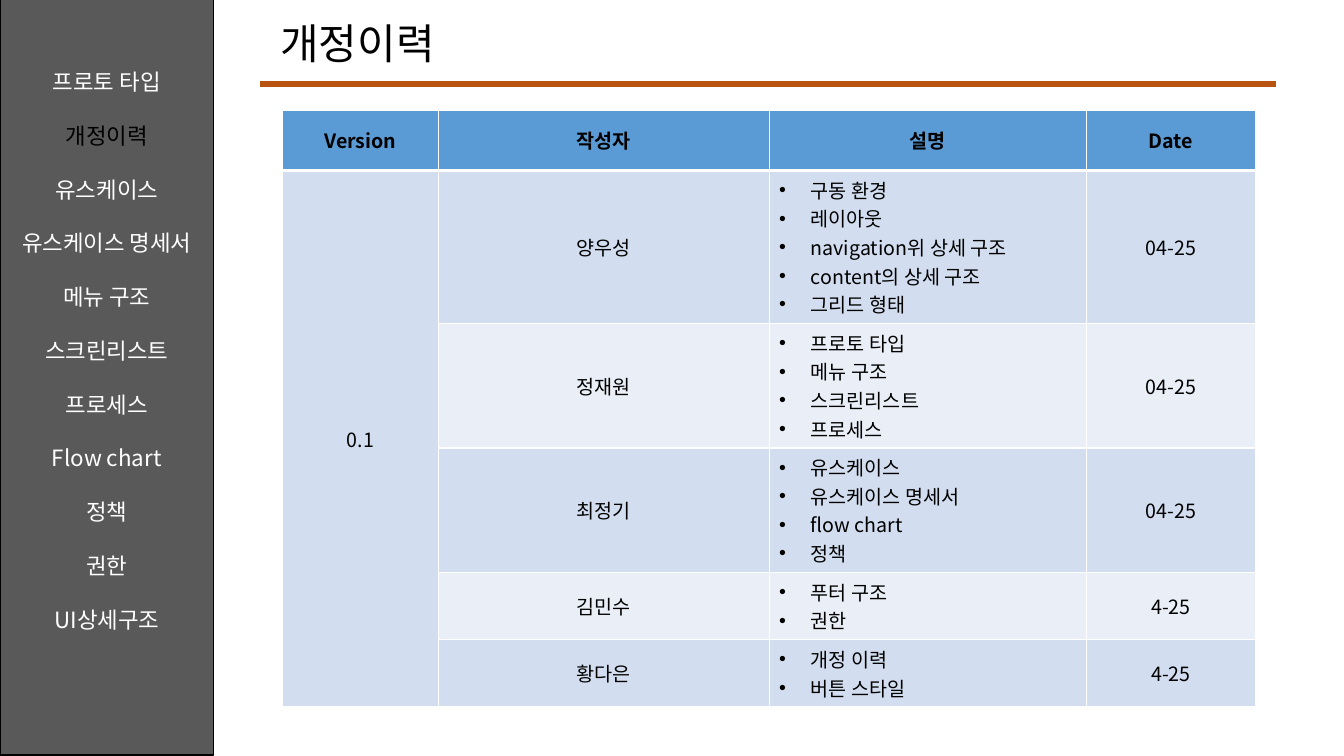
from lxml.etree import SubElement
from pptx import Presentation
from pptx.dml.color import RGBColor
from pptx.enum.shapes import MSO_CONNECTOR, MSO_SHAPE
from pptx.enum.text import MSO_ANCHOR, MSO_AUTO_SIZE, PP_ALIGN
from pptx.oxml.ns import qn
from pptx.util import Pt

FONT = "Noto Sans CJK KR"
MENU = ["프로토 타입", "개정이력", "유스케이스", "유스케이스 명세서", "메뉴 구조",
        "스크린리스트", "프로세스", "Flow chart", "정책", "권한", "UI상세구조"]
HEADERS = ["Version", "작성자", "설명", "Date"]
REVISIONS = [
    ("양우성", ["구동 환경", "레이아웃", "navigation위 상세 구조",
             "content의 상세 구조", "그리드 형태"], "04-25"),
    ("정재원", ["프로토 타입", "메뉴 구조", "스크린리스트", "프로세스"], "04-25"),
    ("최정기", ["유스케이스", "유스케이스 명세서", "flow chart", "정책"], "04-25"),
    ("김민수", ["푸터 구조", "권한"], "4-25"),
    ("황다은", ["개정 이력", "버튼 스타일"], "4-25"),
]
COL_WIDTHS = [111.3, 236.3, 226.8, 120.4]
HEADER_HEIGHT, LINE_HEIGHT, CELL_PADDING = 43.2, 20.3, 7.2


def color(value):
    """Turn a hex string into a colour."""
    return RGBColor.from_string(value)


def format_paragraph(p, size, value="000000", bold=False, align=PP_ALIGN.CENTER):
    """Apply font, colour and alignment to a paragraph."""
    p.alignment = align
    for r in p.runs:
        r.font.name, r.font.size, r.font.bold = FONT, Pt(size), bold
        r.font.color.rgb = color(value)
        SubElement(r.font._element, qn("a:ea"), typeface=FONT)


def add_bullet(p):
    """Give a paragraph a hanging bullet."""
    pPr = p._p.get_or_add_pPr()
    pPr.set("marL", str(Pt(22.5)))
    pPr.set("indent", str(-Pt(22.5)))
    SubElement(pPr, qn("a:buFont"), typeface="Arial")
    SubElement(pPr, qn("a:buChar"), char="•")


def add_borders(cell, bottom):
    """Draw white borders around a cell."""
    tcPr = cell._tc.get_or_add_tcPr()
    for side, width in zip("LRTB", (1, 1, 1, bottom)):
        ln = SubElement(tcPr, qn(f"a:ln{side}"), w=str(Pt(width)))
        fill = SubElement(ln, qn("a:solidFill"))
        SubElement(fill, qn("a:srgbClr"), val="FFFFFF")


def fill_cell(cell, content, fill, bold=False, bottom=1):
    """Write text or a bulleted list into a cell and style it."""
    add_borders(cell, bottom)
    cell.fill.solid()
    cell.fill.fore_color.rgb = color(fill)
    bulleted = isinstance(content, list)
    cell.text = "\n".join(content) if bulleted else content
    cell.vertical_anchor = MSO_ANCHOR.TOP if bulleted else MSO_ANCHOR.MIDDLE
    for p in cell.text_frame.paragraphs:
        format_paragraph(p, 14, bold=bold,
                         align=PP_ALIGN.LEFT if bulleted else PP_ALIGN.CENTER)
        if bulleted:
            add_bullet(p)


def add_revision_table(slide):
    """Add the revision history table."""
    heights = [HEADER_HEIGHT] + [len(items) * LINE_HEIGHT + CELL_PADDING
                                 for _, items, _ in REVISIONS]
    table = slide.shapes.add_table(
        len(heights), len(COL_WIDTHS), Pt(201.8), Pt(78.6),
        Pt(sum(COL_WIDTHS)), Pt(sum(heights))).table
    for column, width in zip(table.columns, COL_WIDTHS):
        column.width = Pt(width)
    for row, height in zip(table.rows, heights):
        row.height = Pt(height)
    for c, header in enumerate(HEADERS):
        fill_cell(table.cell(0, c), header, "5B9BD5", bold=True, bottom=3)
    for i, revision in enumerate(REVISIONS, 1):
        fill = "D2DEEF" if i % 2 else "EAEFF7"
        version = "0.1" if i == 1 else ""
        for c, content in enumerate((version, *revision)):
            fill_cell(table.cell(i, c), content, fill)
    table.cell(1, 0).merge(table.cell(len(REVISIONS), 0))


def add_rule(slide):
    """Add the line under the title."""
    line = slide.shapes.add_connector(
        MSO_CONNECTOR.STRAIGHT, Pt(185.8), Pt(59.8), Pt(911.5), Pt(59.8))
    line.line.color.rgb = color("B85410")
    line.line.width = Pt(4.5)
    SubElement(line._element.spPr, qn("a:effectLst"))


def set_title(slide, text):
    """Place and format the title."""
    sp = slide.shapes.title
    sp.left, sp.top, sp.width, sp.height = Pt(193), Pt(8.6), Pt(576), Pt(50.6)
    tf = sp.text_frame
    tf.text = text
    tf.word_wrap = True
    tf.auto_size = MSO_AUTO_SIZE.NONE
    tf.vertical_anchor = MSO_ANCHOR.TOP
    format_paragraph(tf.paragraphs[0], 30, align=PP_ALIGN.LEFT)


def add_menu(slide, current):
    """Add the side menu with the current page in black."""
    sp = slide.shapes.add_shape(
        MSO_SHAPE.RECTANGLE, 0, Pt(-0.7), Pt(152.6), Pt(540))
    sp.shadow.inherit = False
    sp.fill.solid()
    sp.fill.fore_color.rgb = color("595959")
    sp.line.color.rgb = color("000000")
    sp.line.width = Pt(1)
    tf = sp.text_frame
    tf.word_wrap = True
    tf.vertical_anchor = MSO_ANCHOR.TOP
    tf.margin_top = Pt(44.6)
    tf.text = "\n".join(MENU)
    for p in tf.paragraphs:
        p.line_spacing, p.space_after = Pt(24), Pt(14.4)
        format_paragraph(p, 16, "000000" if p.text == current else "FFFFFF")


def main():
    """Build the slide and save it."""
    prs = Presentation()
    prs.slide_width, prs.slide_height = Pt(960), Pt(540)
    slide = prs.slides.add_slide(prs.slide_layouts[5])
    add_revision_table(slide)
    add_rule(slide)
    set_title(slide, "개정이력")
    add_menu(slide, "개정이력")
    prs.save("out.pptx")


if __name__ == "__main__":
    main()
